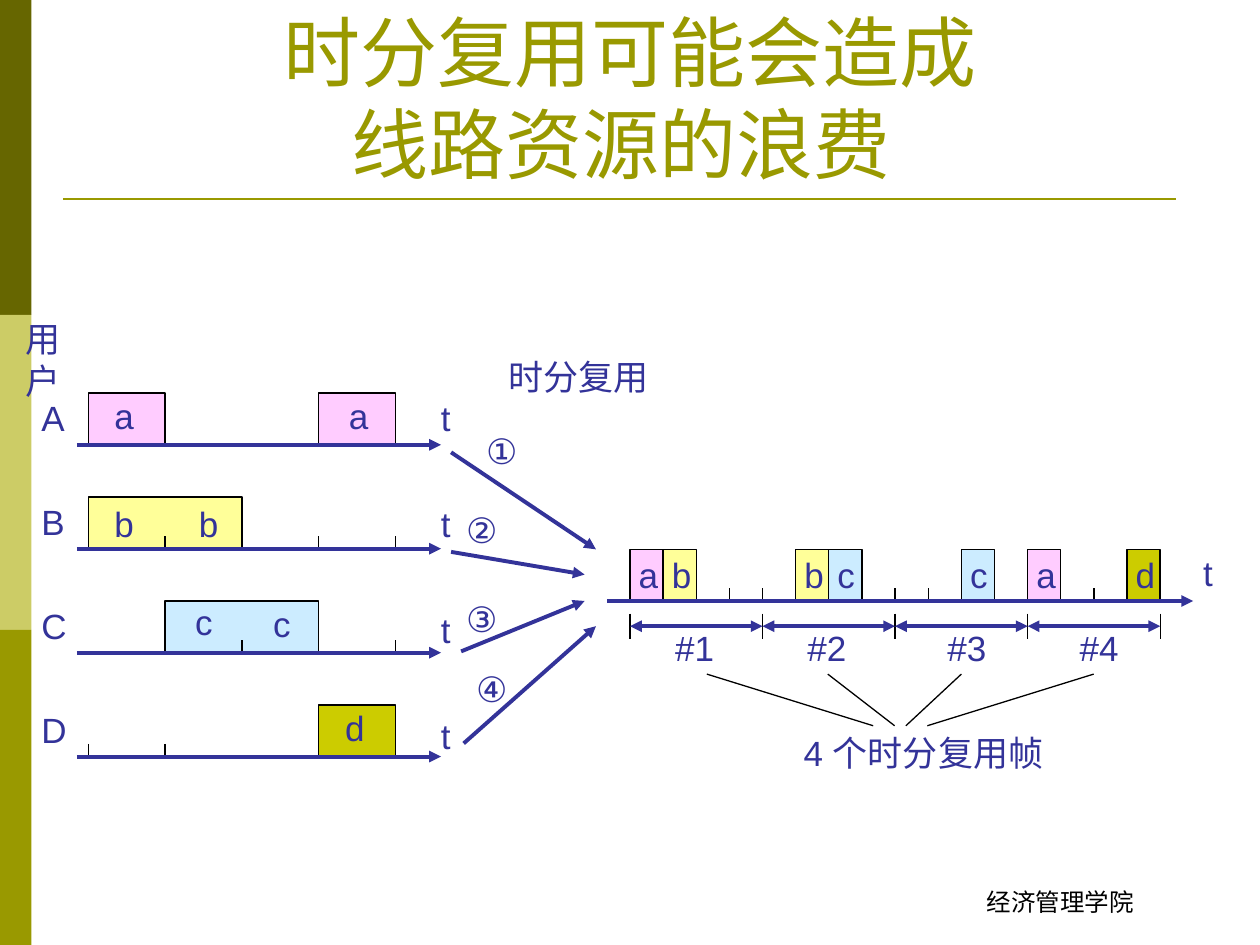
import pptx
import pptx.util
import pptx.dml.color
import pptx.enum.shapes
import pptx.enum.text
import pptx.oxml
import pptx.oxml.ns
from pptx.util import Inches

COLORS = {
    "dark": "666600", "light": "CCCC66", "olive": "999900",
    "ink": "333399", "black": "000000",
    "a": "FFCCFF", "b": "FFFF99", "c": "CCECFF", "d": "CCCC00",
}

# Content
TITLE_LINES = ["时分复用可能会造成", "线路资源的浪费 "]
FOOTER = "经济管理学院"
SIDE_BANDS = ["dark", "light", "olive"]

# Each user: name, data blocks (first slot, slots), letters (x, y), ticks
USERS = [
    {"name": "A", "data": "a", "blocks": [(0, 1), (3, 1)],
     "letters": [(0.81, 3.08), (2.67, 3.08)], "ticks": []},
    {"name": "B", "data": "b", "blocks": [(0, 2)],
     "letters": [(0.81, 3.94), (1.48, 3.94)], "ticks": [1, 3, 4]},
    {"name": "C", "data": "c", "blocks": [(1, 2)],
     "letters": [(1.45, 4.72), (2.07, 4.73)], "ticks": [2, 4]},
    {"name": "D", "data": "d", "blocks": [(3, 1)],
     "letters": [(2.64, 5.56)], "ticks": [0, 1, 3]},
]
# Multiplexed line: slot number and the data it carries
LINE_SLOTS = [(0, "a"), (1, "b"), (5, "b"), (6, "c"), (10, "c"), (12, "a"), (15, "d")]
LINE_TICKS = [2, 3, 4, 8, 9, 14]
FRAMES = [("#1", 5.26), ("#2", 6.31), ("#3", 7.42), ("#4", 8.47)]
# Number, its position, and the arrow into the multiplexer
INPUTS = [
    ("①", 3.76, 3.36, (3.58, 3.59), (4.73, 4.36)),
    ("②", 3.6, 3.99, (3.58, 4.38), (4.64, 4.56)),
    ("③", 3.6, 4.69, (3.66, 5.17), (4.64, 4.77)),
    ("④", 3.68, 5.25, (3.68, 5.9), (4.73, 4.97)),
]
CAPTION_LINES = [(5.61, 6.93), (6.57, 7.1), (7.63, 7.19), (8.68, 7.36)]
CAPTIONS = [
    ("用户", 0.1, 2.47, 0.75),
    ("时分复用", 3.94, 2.77, 1.31),
    ("4 个时分复用帧", 6.28, 5.76, 2.17),
]

# Grid
USER_LEFT, USER_SLOT, USER_TOP, USER_PITCH = 0.7, 0.61, 3.53, 0.825
LINE_LEFT, LINE_SLOT, LINE_Y = 5, 0.263, 4.77
BLOCK_HEIGHT, TICK_HEIGHT = 0.41, 0.1
FRAME_SLOTS, FRAME_Y = 4, 4.97

presentation = pptx.Presentation()
presentation.slide_width, presentation.slide_height = Inches(10), Inches(7.5)
slide = presentation.slides.add_slide(presentation.slide_layouts[6])


def color(name):
    return pptx.dml.color.RGBColor.from_string(COLORS[name])


def add_line(start, end, name="black", width=0.75, head=False, tail=False):
    line = slide.shapes.add_connector(
        pptx.enum.shapes.MSO_CONNECTOR.STRAIGHT, *map(Inches, start + end))
    line.line.color.rgb = color(name)
    line.line.width = pptx.util.Pt(width)
    properties = line.line._get_or_add_ln()
    for tag, wanted in (("a:headEnd", head), ("a:tailEnd", tail)):
        if wanted:
            end_mark = pptx.oxml.xmlchemy.OxmlElement(tag)
            end_mark.set("type", "triangle")
            properties.append(end_mark)
    properties.getparent().append(pptx.oxml.xmlchemy.OxmlElement("a:effectLst"))


def add_arrow(start, end, head=False):
    add_line(start, end, "ink", 2.25, head, True)


def add_block(left, bottom, width, data):
    """Draw a filled block whose outline is open along the time axis."""
    right, top = left + width, bottom - BLOCK_HEIGHT
    builder = slide.shapes.build_freeform(Inches(left), Inches(bottom))
    builder.add_line_segments(
        [(Inches(x), Inches(y)) for x, y in ((left, top), (right, top), (right, bottom))],
        close=False)
    shape = builder.convert_to_shape()
    shape.shadow.inherit = False
    shape.fill.solid()
    shape.fill.fore_color.rgb = color(data)
    shape.line.color.rgb = color("black")
    shape.line.width = pptx.util.Pt(0.75)


def add_text(lines, left, top, width, height=0.44, size=20, font="Arial",
             name="ink", block=False):
    box = slide.shapes.add_textbox(*map(Inches, (left, top, width, height)))
    frame = box.text_frame
    frame.word_wrap = block
    paragraph = frame.paragraphs[0]
    if block:
        frame.vertical_anchor = pptx.enum.text.MSO_ANCHOR.BOTTOM
        paragraph.alignment = pptx.enum.text.PP_ALIGN.CENTER
    for index, text in enumerate(lines):
        if index:
            paragraph.add_line_break()
        run = paragraph.add_run()
        run.text = text
        run.font.size = pptx.util.Pt(size)
        run.font.name = font
        run.font.color.rgb = color(name)


def add_ticks(slots, left, pitch, bottom):
    for slot in slots:
        x = left + slot * pitch
        add_line((x, bottom - TICK_HEIGHT), (x, bottom))


# Side bands, title rule, title and footer
for index, band in enumerate(SIDE_BANDS):
    shape = slide.shapes.add_shape(
        pptx.enum.shapes.MSO_SHAPE.RECTANGLE,
        *map(Inches, (0, 2.5 * index, 0.25, 2.5)))
    shape.shadow.inherit = False
    shape.fill.solid()
    shape.fill.fore_color.rgb = color(band)
    shape.line.fill.background()
add_line((0.5, 1.58), (9.33, 1.58), "olive", 1.5)
add_text([FOOTER], 6.83, 6.82, 3.17, 0.5, 14, "Karla", "black", True)
add_text(TITLE_LINES, 0.5, 0.3, 9, 1.25, 44, "Times New Roman", "olive", True)

# User time axes
for row, user in enumerate(USERS):
    axis_y = USER_TOP + row * USER_PITCH
    for first, count in user["blocks"]:
        add_block(USER_LEFT + first * USER_SLOT, axis_y, count * USER_SLOT, user["data"])
    add_ticks(user["ticks"], USER_LEFT, USER_SLOT, axis_y)
    add_arrow((0.61, axis_y), (3.5, axis_y))
    add_text([user["name"]], 0.23, axis_y - 0.43, 0.39)
    add_text(["t"], 3.4, 3.1 + 0.84 * row, 0.27)
    for left, top in user["letters"]:
        add_text([user["data"]], left, top, 0.35)

# Arrows into the multiplexed line
for number, left, top, start, end in INPUTS:
    add_arrow(start, end)
    add_text([number], left, top, 0.45)

# Multiplexed line
for slot, data in LINE_SLOTS:
    add_block(LINE_LEFT + slot * LINE_SLOT, LINE_Y, LINE_SLOT, data)
add_ticks(LINE_TICKS, LINE_LEFT, LINE_SLOT, LINE_Y)
add_arrow((4.82, LINE_Y), (9.47, LINE_Y))
for slot, data in LINE_SLOTS:
    add_text([data], LINE_LEFT + slot * LINE_SLOT - 0.03, 4.34, 0.35)
add_text(["t"], 9.45, 4.33, 0.27)

# Frames
frame_width = FRAME_SLOTS * LINE_SLOT
for index in range(len(FRAMES) + 1):
    x = LINE_LEFT + index * frame_width
    add_line((x, FRAME_Y - 0.1), (x, FRAME_Y + 0.1))
for index, (label, label_left) in enumerate(FRAMES):
    x = LINE_LEFT + index * frame_width
    add_arrow((x, FRAME_Y), (x + frame_width, FRAME_Y), head=True)
    add_text([label], label_left, 4.92, 0.51)

# Captions and the lines gathering the frames
for top_x, bottom_x in CAPTION_LINES:
    add_line((top_x, 5.35), (bottom_x, 5.76))
for text, left, top, width in CAPTIONS:
    add_text([text], left, top, width)

presentation.save("out.pptx")
